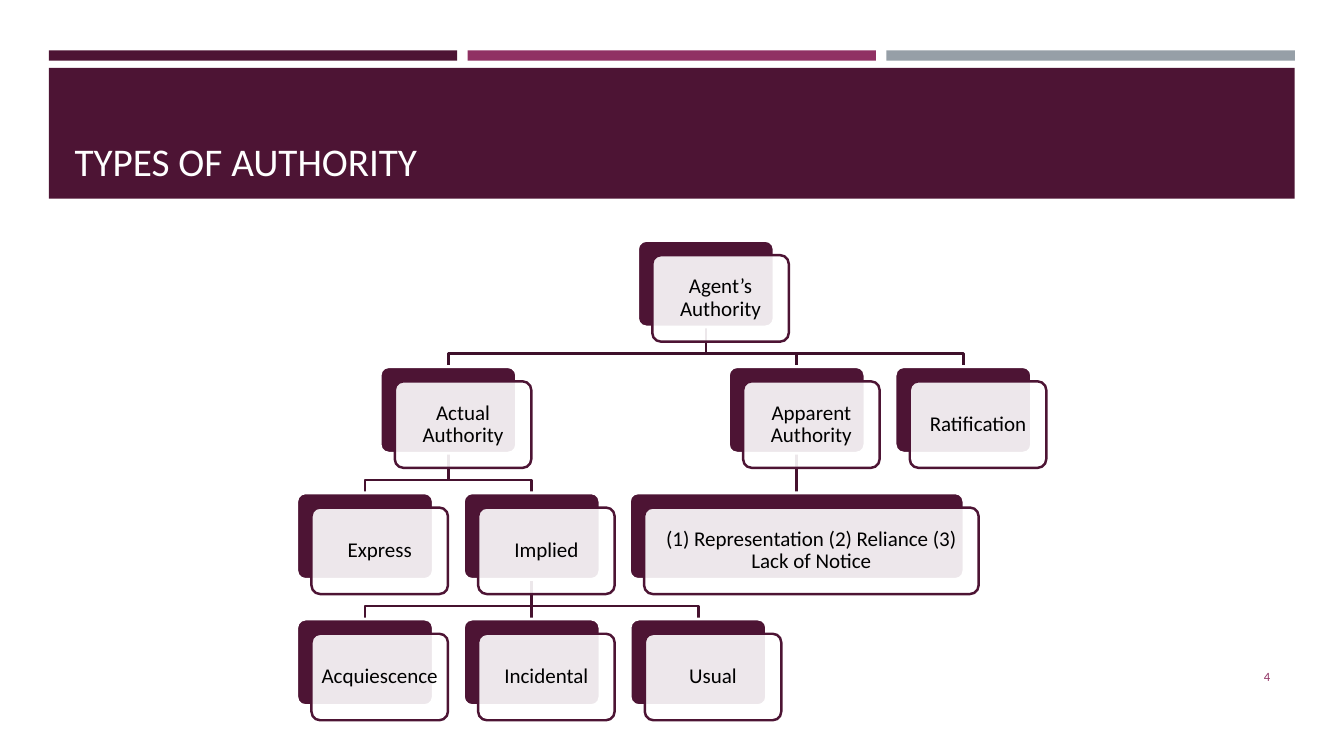
from collections import namedtuple
from lxml import etree
from pptx import Presentation, util as u
from pptx.dml import color
from pptx.enum import shapes, text
from pptx.oxml import ns

PLUM = "4D1434"
BERRY = "903163"
GREY = "969FA7"
WHITE = "FFFFFF"
BLACK = "000000"
ROOT_LINK = "3E102A"
BRANCH_LINK = "46122F"

CARD_WIDTH = 3.44
CARD_HEIGHT = 2.18
CARD_SHIFT = 0.37
COLUMN_PITCH = 4.2
LEVEL_PITCH = 3.18
BEND_DROP = 0.67

Role = namedtuple("Role", "label column width children")


def role(label, column, *children, width=CARD_WIDTH):
    return Role(label, column, width, children)


AUTHORITY = role(
    "Agent’s Authority", 2.045,
    role("Actual Authority", 0.5,
         role("Express", 0),
         role("Implied", 1,
              role("Acquiescence", 0),
              role("Incidental", 1),
              role("Usual", 2))),
    role("Apparent Authority", 2.59,
         role("(1) Representation (2) Reliance (3) Lack of Notice", 2.59, width=8.43)),
    role("Ratification", 3.59))


def rgb(hex_code):
    return color.RGBColor.from_string(hex_code)


def lengths(*values):
    return [u.Cm(value) for value in values]


def apply(target, values):
    for name, value in values.items():
        setattr(target, name, value)


def write(shape, wording, size, ink, align, anchor, inset):
    frame = shape.text_frame
    apply(frame, dict(word_wrap=True, vertical_anchor=anchor))
    if inset is not None:
        sides = ("margin_left", "margin_right", "margin_top", "margin_bottom")
        apply(frame, dict.fromkeys(sides, u.Cm(inset)))
    paragraph = frame.paragraphs[0]
    paragraph.text = wording
    paragraph.alignment = align
    apply(paragraph.font, dict(name="Calibri", size=u.Pt(size)))
    paragraph.font.color.rgb = rgb(ink)
    return paragraph


def panel(slide, box, fill, kind=shapes.MSO_SHAPE.RECTANGLE, edge=None, weight=0):
    block = slide.shapes.add_shape(kind, *lengths(*box))
    block.shadow.inherit = False
    block.fill.solid()
    block.fill.fore_color.rgb = rgb(fill)
    if edge:
        block.line.color.rgb = rgb(edge)
        block.line.width = u.Pt(weight)
    else:
        block.line.fill.background()
    return block


def header(slide, box):
    left, top, width, height = box
    gap, strip_height, title_drop = 0.26, 0.26, 0.44
    strip_width = (width - 2 * gap) / 3
    for index, fill in enumerate((PLUM, BERRY, GREY)):
        strip_left = left + index * (strip_width + gap)
        panel(slide, (strip_left, top, strip_width, strip_height), fill)
    panel(slide, (left, top + title_drop, width, height - title_drop), PLUM)
    title = slide.shapes.add_textbox(
        *lengths(left + 0.4, top + 0.7, width - 0.8, height - 0.93))
    write(title, "TYPES OF AUTHORITY", 28, WHITE,
          text.PP_ALIGN.LEFT, text.MSO_ANCHOR.BOTTOM, None)


def page_number(slide, box):
    number = slide.shapes.add_textbox(*lengths(*box))
    write(number, "4", 9, BERRY, text.PP_ALIGN.RIGHT, text.MSO_ANCHOR.MIDDLE, None)


def card(slide, box, label):
    left, top, width, height = box
    rounded = shapes.MSO_SHAPE.ROUNDED_RECTANGLE
    back = panel(slide, box, PLUM, rounded, WHITE, 2)
    front = panel(slide, (left + CARD_SHIFT, top + CARD_SHIFT, width, height),
                  WHITE, rounded, PLUM, 1.75)
    for layer in (back, front):
        layer.adjustments[0] = 0.1
    tint = front.fill._xPr.find(ns.qn("a:solidFill"))[0]
    etree.SubElement(tint, ns.qn("a:alpha"), val="90000")
    paragraph = write(front, label, 15, BLACK,
                      text.PP_ALIGN.CENTER, text.MSO_ANCHOR.MIDDLE, 0.15)
    paragraph.line_spacing = 0.9


def link(slide, start, end, ink):
    (start_x, start_y), (end_x, end_y) = start, end
    if start_x == end_x:
        branch = slide.shapes.add_connector(
            shapes.MSO_CONNECTOR.STRAIGHT, *lengths(*start, *end))
        etree.SubElement(branch._element.spPr, ns.qn("a:effectLst"))
    else:
        bend_y = start_y + BEND_DROP
        outline = slide.shapes.build_freeform(*lengths(*start))
        corners = ((start_x, bend_y), (end_x, bend_y), end)
        outline.add_line_segments([lengths(*corner) for corner in corners], close=False)
        branch = outline.convert_to_shape()
        branch.shadow.inherit = False
        branch.fill.background()
    branch.line.color.rgb = rgb(ink)
    branch.line.width = u.Pt(1.75)


def authority_tree(slide, box):
    left, top = box[:2]

    def centre(member):
        return left + CARD_WIDTH / 2 + member.column * COLUMN_PITCH

    def links(parent, level):
        bottom = top + level * LEVEL_PITCH + CARD_HEIGHT
        next_top = top + (level + 1) * LEVEL_PITCH
        for child in parent.children:
            link(slide, (centre(parent), bottom), (centre(child), next_top),
                 BRANCH_LINK if level else ROOT_LINK)
            links(child, level + 1)

    def cards(member, level):
        card(slide, (centre(member) - member.width / 2, top + level * LEVEL_PITCH,
                     member.width, CARD_HEIGHT), member.label)
        for child in member.children:
            cards(child, level + 1)

    links(AUTHORITY, 0)
    cards(AUTHORITY, 0)


def main():
    deck = Presentation()
    apply(deck, dict(slide_width=u.Cm(33.87), slide_height=u.Cm(19.05)))
    slide = deck.slides.add_slide(deck.slide_layouts[6])
    header(slide, (1.23, 1.27, 31.4, 3.74))
    page_number(slide, (29.34, 16.54, 2.92, 1.02))
    authority_tree(slide, (7.48, 6.06, 18.9, 12.1))
    deck.save("out.pptx")


if __name__ == "__main__":
    main()
